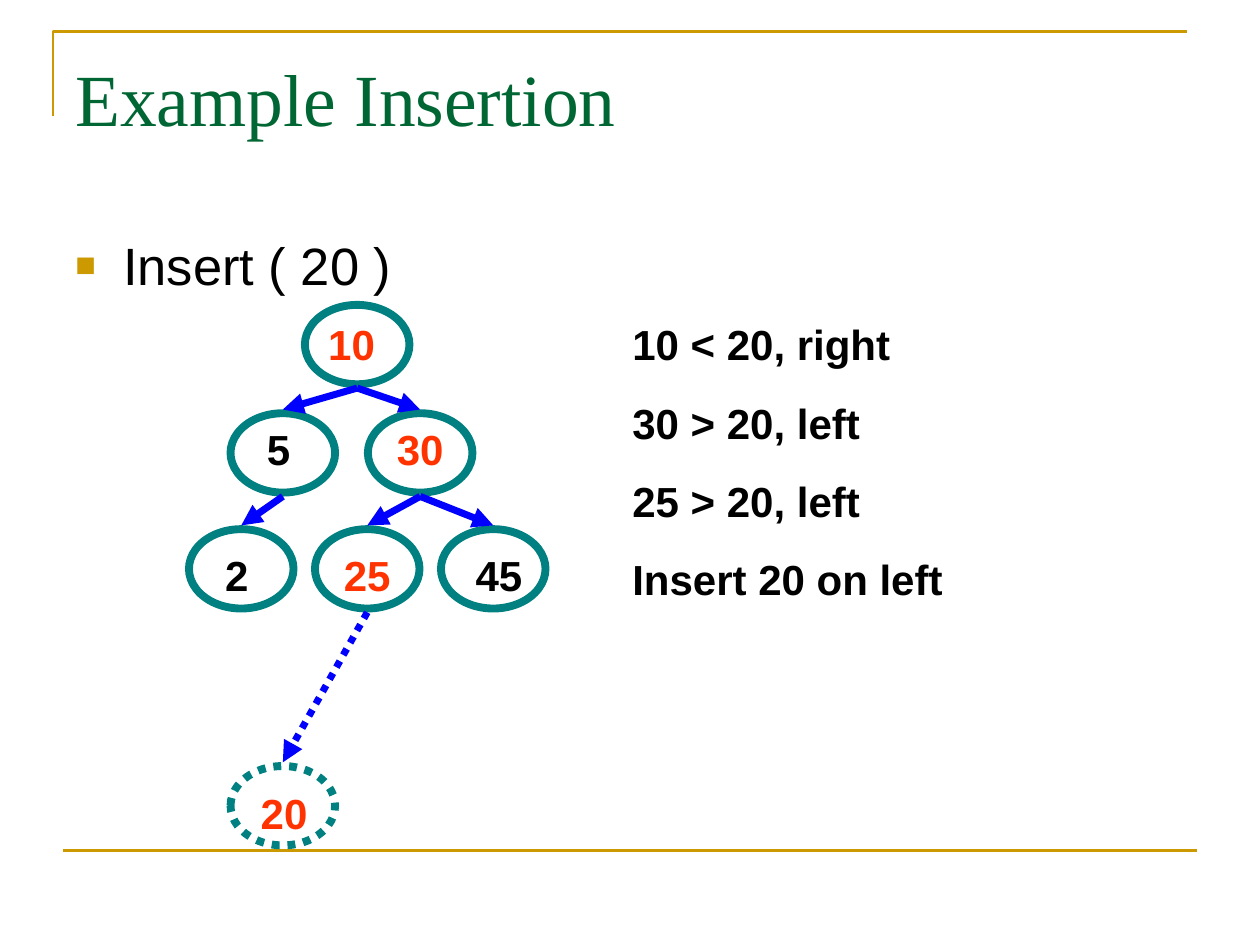
from lxml.etree import SubElement
from pptx import Presentation
from pptx.dml.color import RGBColor
from pptx.enum.dml import MSO_LINE
from pptx.enum.shapes import MSO_CONNECTOR, MSO_SHAPE
from pptx.enum.text import PP_ALIGN
from pptx.oxml.ns import qn
from pptx.util import Inches, Pt

GOLD = RGBColor(0xCC, 0x99, 0x00)
GREEN = RGBColor(0x00, 0x66, 0x33)
TEAL = RGBColor(0x00, 0x80, 0x80)
BLUE = RGBColor(0x00, 0x00, 0xFF)
RED = RGBColor(0xFF, 0x33, 0x00)
BLACK = RGBColor(0x00, 0x00, 0x00)

NODE_WIDTH, NODE_HEIGHT = 0.83, 0.63
EDGE_GAP = 0.03

prs = Presentation()
prs.slide_width, prs.slide_height = Inches(10), Inches(7.5)
slide = prs.slides.add_slide(prs.slide_layouts[6])


def add_text(box, lines, size, color, font="Arial", bold=False, top_inset=0.08, wrap=True):
    frame = slide.shapes.add_textbox(*map(Inches, box)).text_frame
    frame.word_wrap = wrap
    frame.margin_top = Inches(top_inset)
    frame.text = "\n".join(lines)
    for paragraph in frame.paragraphs:
        paragraph.font.name = font
        paragraph.font.size = Pt(size)
        paragraph.font.bold = bold
        paragraph.font.color.rgb = color
    return frame.paragraphs


def add_line(start, end, color, width):
    connector = slide.shapes.add_connector(
        MSO_CONNECTOR.STRAIGHT, *map(Inches, start + end))
    connector.line.color.rgb = color
    connector.line.width = Pt(width)
    SubElement(connector._element.spPr, qn("a:effectLst"))
    return connector.line


builder = slide.shapes.build_freeform(Inches(0.42), Inches(0.92))
builder.add_line_segments(
    [(Inches(0.42), Inches(0.25)), (Inches(9.42), Inches(0.25))], close=False)
title_rule = builder.convert_to_shape()
title_rule.shadow.inherit = False
title_rule.fill.background()
title_rule.line.color.rgb = GOLD
title_rule.line.width = Pt(1.5)
add_line((0.5, 6.75), (9.5, 6.75), GOLD, 1.5)

add_text((0.5, 0.3, 9, 1.25), ["Example Insertion"], 42, GREEN,
         font="Times New Roman", top_inset=0.12)

operation = add_text((0.5, 1.75, 9, 4.95), ["Insert ( 20 )"], 30, BLACK, top_inset=0.1)[0]
operation.space_before = Pt(7.5)
bullet_props = operation._p.get_or_add_pPr()
bullet_props.set("marL", str(Inches(0.38)))
bullet_props.set("indent", str(Inches(-0.38)))
bullet_color = SubElement(bullet_props, qn("a:buClr"))
SubElement(bullet_color, qn("a:srgbClr"), val=str(GOLD))
SubElement(bullet_props, qn("a:buSzPct"), val="65000")
SubElement(bullet_props, qn("a:buFont"), typeface="Arial")
SubElement(bullet_props, qn("a:buChar"), char="■")
bullet_props.append(bullet_props.find(qn("a:defRPr")))

nodes = {
    "10": (2.42, 2.42, RED, (2.5, 2.45, 0.58)),
    "5": (1.83, 3.28, BLACK, (2, 3.28, 0.42)),
    "30": (2.92, 3.28, RED, (3, 3.28, 0.67)),
    "2": (1.5, 4.2, BLACK, (1.67, 4.28, 0.42)),
    "25": (2.5, 4.2, RED, (2.58, 4.28, 0.67)),
    "45": (3.5, 4.2, BLACK, (3.67, 4.28, 0.58)),
    "20": (1.83, 6.08, RED, (1.92, 6.17, 0.67)),
}
edges = [("10", "5"), ("10", "30"), ("5", "2"), ("30", "25"), ("30", "45"), ("25", "20")]
inserted = "20"

for key, (left, top, color, label_box) in nodes.items():
    node = slide.shapes.add_shape(
        MSO_SHAPE.OVAL, *map(Inches, (left, top, NODE_WIDTH, NODE_HEIGHT)))
    node.shadow.inherit = False
    node.fill.background()
    node.line.color.rgb = TEAL
    node.line.width = Pt(4.5)
    if key == inserted:
        node.line.dash_style = MSO_LINE.ROUND_DOT
    label = add_text((*label_box, 0.5), [key], 24, color, bold=True, wrap=False)[0]
    label.alignment = PP_ALIGN.CENTER

for parent, child in edges:
    parent_left, parent_top = nodes[parent][:2]
    child_left, child_top = nodes[child][:2]
    edge = add_line(
        (parent_left + NODE_WIDTH / 2, parent_top + NODE_HEIGHT + EDGE_GAP),
        (child_left + NODE_WIDTH / 2, child_top - EDGE_GAP), BLUE, 4)
    if child == inserted:
        edge.dash_style = MSO_LINE.ROUND_DOT
    SubElement(edge._get_or_add_ln(), qn("a:tailEnd"), type="triangle")

steps = ["10 < 20, right", "30 > 20, left", "25 > 20, left", "Insert 20 on left"]
for step in add_text((4.92, 2.45, 3.75, 2.33), steps, 24, BLACK, bold=True):
    step.space_before = Pt(16)

prs.save("out.pptx")
